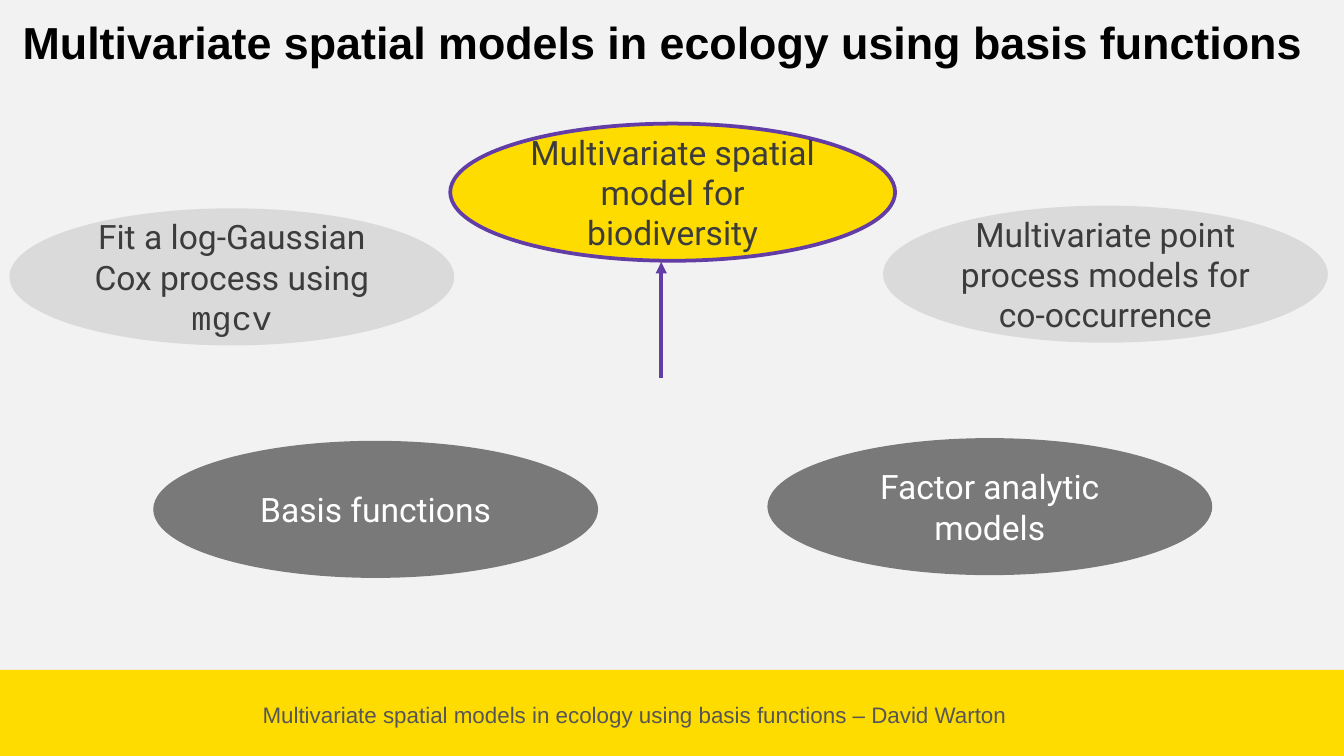
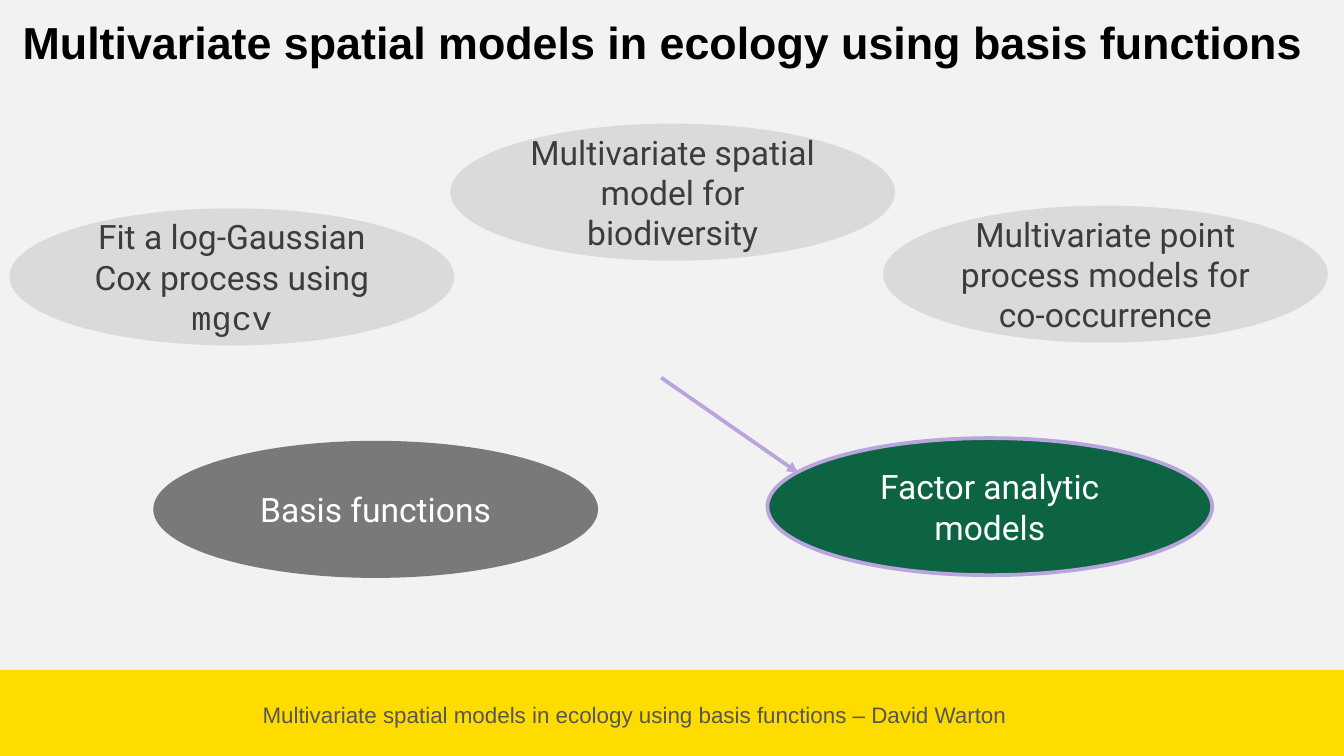
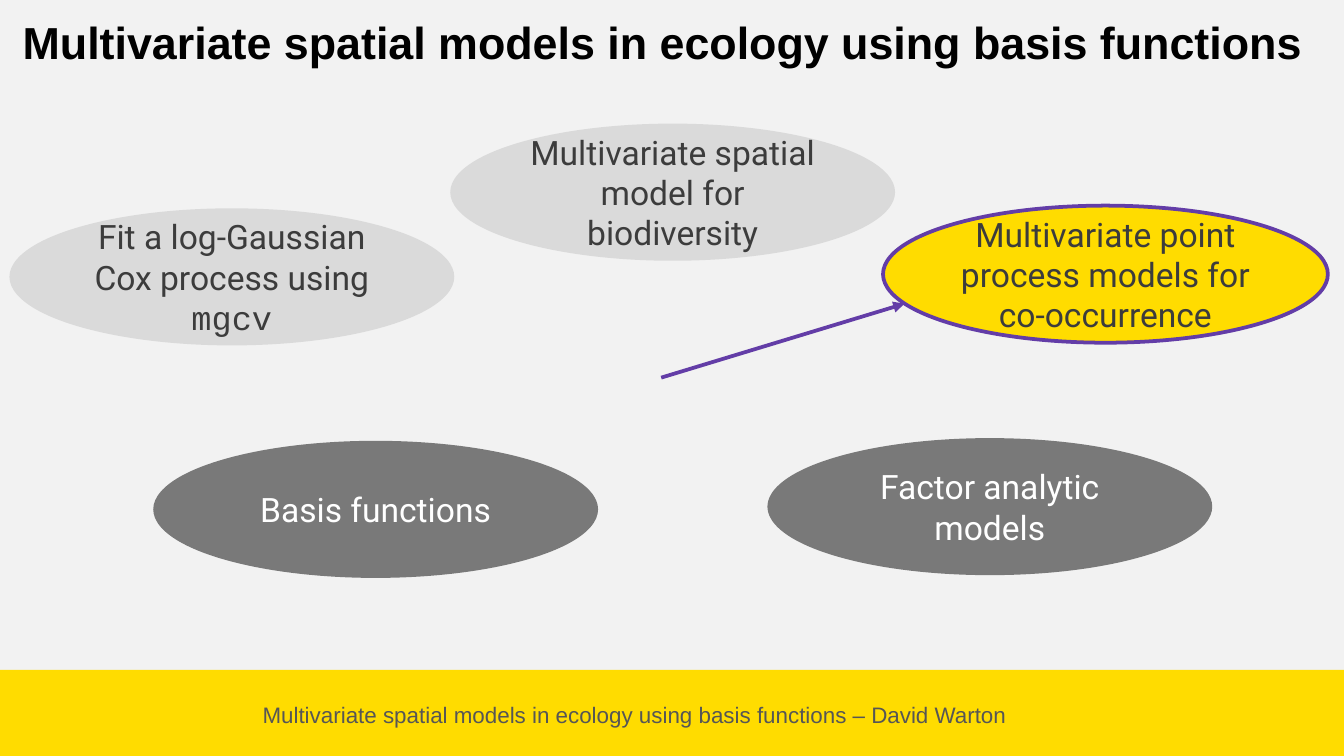
from dataclasses import dataclass

from lxml.etree import SubElement
from pptx import Presentation
from pptx.dml.color import RGBColor
from pptx.enum.shapes import MSO_CONNECTOR, MSO_SHAPE
from pptx.enum.text import MSO_ANCHOR, MSO_AUTO_SIZE, PP_ALIGN
from pptx.oxml.ns import qn
from pptx.util import Inches, Pt


@dataclass(frozen=True)
class Theme:
    """Colours, fonts and type sizes shared by the slides."""
    background: str = "F2F2F2"
    yellow: str = "FFDC00"
    green: str = "0D6443"
    violet: str = "633DA7"
    lilac: str = "B9A4DE"
    light_grey: str = "DADADA"
    mid_grey: str = "797979"
    ink: str = "3C3C3C"
    white: str = "FFFFFF"
    black: str = "000000"
    footer_ink: str = "565656"
    sans: str = "Arial"
    label: str = "Roboto"
    code: str = "Courier New"
    title_size: int = 24
    label_size: int = 18
    footer_size: int = 12
    stroke: int = 2


@dataclass(frozen=True)
class Topic:
    """An ellipse on the map: place, wording and the colours of its tier."""
    left: float
    top: float
    text: str
    fill: str
    ink: str
    highlight: str
    outline: str
    code: str = ""


THEME = Theme()
WIDTH, HEIGHT = Inches(10), Inches(5.625)
COLUMNS = 100
TITLE = "Multivariate spatial models in ecology using basis functions"
FOOTER = f"{TITLE} – David Warton"
TOPIC_SIZE = (33.1, 10.2)
HUB = (49.2, 28.1)

APPLIED = (THEME.light_grey, THEME.ink, THEME.yellow, THEME.violet)
METHOD = (THEME.mid_grey, THEME.white, THEME.green, THEME.lilac)
COX = Topic(0.7, 15.5, "Fit a log-Gaussian Cox process using ", *APPLIED, code="mgcv")
BIODIVERSITY = Topic(33.5, 9.2, "Multivariate spatial model for biodiversity", *APPLIED)
CO_OCCURRENCE = Topic(65.7, 15.3, "Multivariate point process models for co-occurrence", *APPLIED)
BASIS = Topic(11.4, 32.8, "Basis functions", *METHOD)
FACTORS = Topic(57.1, 32.6, "Factor analytic models", *METHOD)
TOPICS = (COX, BIODIVERSITY, CO_OCCURRENCE, BASIS, FACTORS)

STEPS = (
    (BIODIVERSITY, (49.2, 19.5)),
    (FACTORS, (59.4, 35.2)),
    (CO_OCCURRENCE, (67.3, 22.6)),
)


def grid(*cells):
    """Turn counts of square grid cells into slide lengths."""
    return [round(cell * WIDTH / COLUMNS) for cell in cells]


def rgb(colour):
    """Return the colour object for a hex code."""
    return RGBColor.from_string(colour)


def style(run, font, size, colour, bold=False):
    """Set the type of one run."""
    run.font.name, run.font.size, run.font.bold = font, Pt(size), bold
    run.font.color.rgb = rgb(colour)


def add_filled(slide, preset, box, fill, outline=None):
    """Add a flat shape with an optional outline."""
    shape = slide.shapes.add_shape(preset, *box)
    shape.shadow.inherit = False
    shape.fill.solid()
    shape.fill.fore_color.rgb = rgb(fill)
    if outline:
        shape.line.color.rgb = rgb(outline)
        shape.line.width = Pt(THEME.stroke)
    else:
        shape.line.fill.background()
    return shape


def add_line_of_text(slide, box, text, size, colour, align, wrap=True, bold=False):
    """Add a text box with a single paragraph."""
    frame = slide.shapes.add_textbox(*box).text_frame
    frame.word_wrap = wrap
    frame.auto_size = MSO_AUTO_SIZE.SHAPE_TO_FIT_TEXT
    frame.text = text
    frame.paragraphs[0].alignment = align
    style(frame.paragraphs[0].runs[0], THEME.sans, size, colour, bold)


def add_frame(slide):
    """Add the bottom band, the footer and the title."""
    band_height = round(HEIGHT * 0.114)
    band = (0, HEIGHT - band_height, WIDTH, band_height)
    add_filled(slide, MSO_SHAPE.RECTANGLE, band, THEME.yellow)
    add_line_of_text(slide, grid(18.5, 51.7, 57.5, 3), FOOTER,
                     THEME.footer_size, THEME.footer_ink, PP_ALIGN.CENTER)
    add_line_of_text(slide, grid(0.7, 0.6, 98.1, 5), TITLE,
                     THEME.title_size, THEME.black, PP_ALIGN.LEFT, wrap=False, bold=True)


def add_topic(slide, topic, active):
    """Add one topic ellipse, highlighted when it is the active one."""
    fill, outline = (topic.highlight, topic.outline) if active else (topic.fill, None)
    box = grid(topic.left, topic.top, *TOPIC_SIZE)
    frame = add_filled(slide, MSO_SHAPE.OVAL, box, fill, outline).text_frame
    frame.margin_left = frame.margin_right = frame.margin_top = frame.margin_bottom = 0
    frame.vertical_anchor = MSO_ANCHOR.MIDDLE
    frame.word_wrap = True
    frame.text = topic.text
    paragraph = frame.paragraphs[0]
    paragraph.alignment = PP_ALIGN.CENTER
    style(paragraph.runs[0], THEME.label, THEME.label_size, topic.ink)
    if topic.code:
        code = paragraph.add_run()
        code.text = topic.code
        style(code, THEME.code, THEME.label_size, topic.ink)


def add_arrow(slide, tip, colour):
    """Add an arrow from the hub of the map to a topic."""
    arrow = slide.shapes.add_connector(MSO_CONNECTOR.STRAIGHT, *grid(*HUB, *tip))
    arrow.line.color.rgb = rgb(colour)
    arrow.line.width = Pt(THEME.stroke)
    SubElement(arrow.line._get_or_add_ln(), qn("a:tailEnd"), type="triangle")
    SubElement(arrow._element.spPr, qn("a:effectLst"))


def add_map(deck, active, tip):
    """Add a slide with the topic map pointing at the active topic."""
    slide = deck.slides.add_slide(deck.slide_layouts[6])
    slide.background.fill.solid()
    slide.background.fill.fore_color.rgb = rgb(THEME.background)
    add_frame(slide)
    for topic in TOPICS:
        add_topic(slide, topic, topic is active)
    add_arrow(slide, tip, active.outline)


def main():
    """Build and save the deck."""
    deck = Presentation()
    deck.slide_width, deck.slide_height = WIDTH, HEIGHT
    for active, tip in STEPS:
        add_map(deck, active, tip)
    deck.save("out.pptx")


if __name__ == "__main__":
    main()
